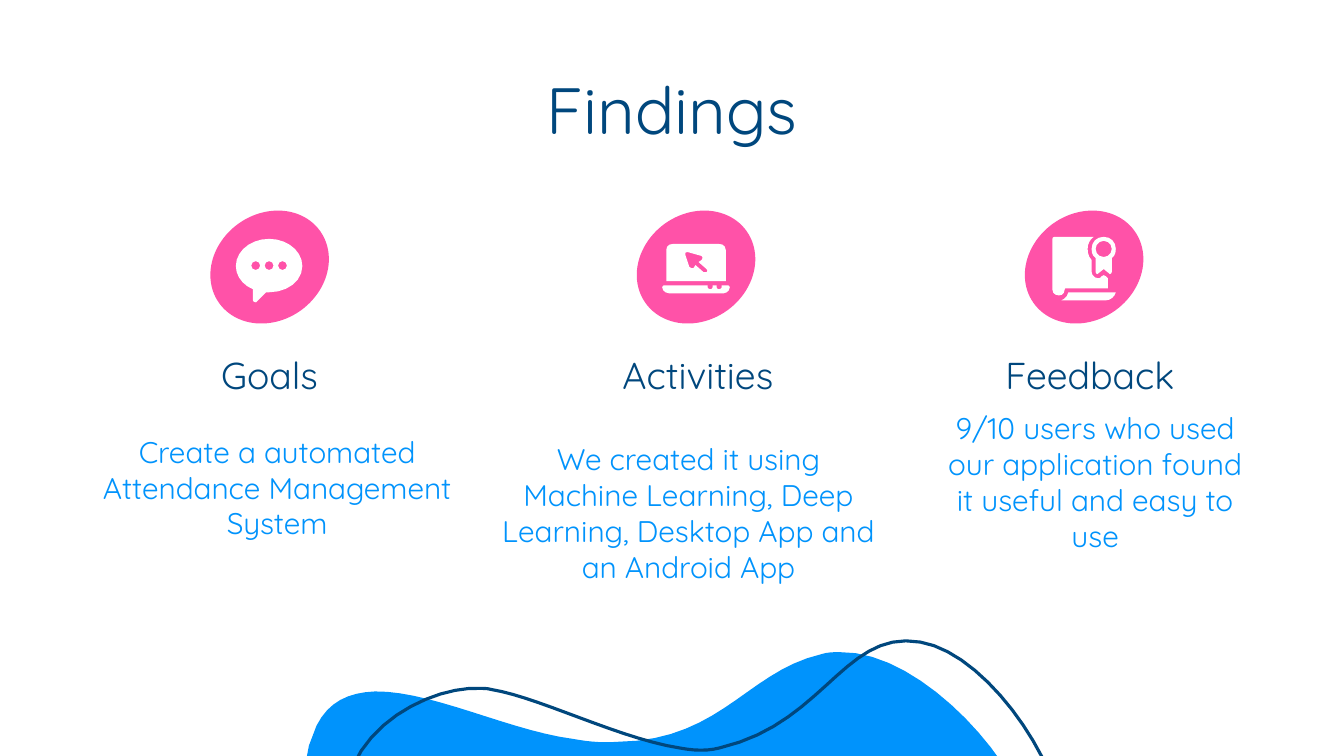
from dataclasses import dataclass
from math import dist, sqrt
from typing import NamedTuple

from pptx import Presentation
from pptx.dml.color import RGBColor
from pptx.enum.shapes import MSO_SHAPE
from pptx.enum.text import MSO_ANCHOR, MSO_AUTO_SIZE, PP_ALIGN
from pptx.shapes.autoshape import Shape
from pptx.slide import Slide
from pptx.util import Pt

OVAL = MSO_SHAPE.OVAL
MIDDLE, BOTTOM = MSO_ANCHOR.MIDDLE, MSO_ANCHOR.BOTTOM
CENTER = PP_ALIGN.CENTER
NO_AUTOFIT = MSO_AUTO_SIZE.NONE


@dataclass(frozen=True)
class Theme:
    font: str = "Quicksand"
    white: RGBColor = RGBColor(0xFF, 0xFF, 0xFF)
    navy: RGBColor = RGBColor(0x00, 0x47, 0x7D)
    blue: RGBColor = RGBColor(0x00, 0x93, 0xFC)
    pink: RGBColor = RGBColor(0xFF, 0x52, 0xA8)
    title_size: float = 46.7
    heading_size: float = 26.7
    body_size: float = 21.3
    inset: float = 9.6
    wave_line: float = 2.25


THEME = Theme()


class Box(NamedTuple):
    left: float
    top: float
    width: float
    height: float


class TextStyle(NamedTuple):
    size: float
    color: RGBColor
    anchor: MSO_ANCHOR
    line_spacing: float


TITLE = TextStyle(THEME.title_size, THEME.navy, MIDDLE, 0.9)
HEADING = TextStyle(THEME.heading_size, THEME.navy, BOTTOM, 0.9)
BODY = TextStyle(THEME.body_size, THEME.blue, BOTTOM, 1.0)


@dataclass(frozen=True)
class Finding:
    heading: str
    heading_left: float
    badge_left: float
    body: str
    body_box: Box
    icon: tuple[str, ...]


def circle(x: float, y: float, radius: float) -> str:
    """Outline of a circle as four curves."""
    k = 0.55 * radius
    r = radius
    return (f"M {x} {y - r} C {x + k} {y - r} {x + r} {y - k} {x + r} {y} "
            f"C {x + r} {y + k} {x + k} {y + r} {x} {y + r} "
            f"C {x - k} {y + r} {x - r} {y + k} {x - r} {y} "
            f"C {x - r} {y - k} {x - k} {y - r} {x} {y - r} Z ")


# Outlines: M moves, L draws a line, C a cubic curve, Z closes
OUTLINE_UNIT = Pt(0.72)

BLUE_WAVE = (
    "M 833 647 C 827 647 821 647 815 649 C 741 666 715 735 612 736 "
    "C 598 737 584 736 568 733 C 506 725 427 685 372 686 C 346 687 326 696 314 720 "
    "C 269 814 366 884 422 889 C 425 889 428 889 431 889 C 479 889 566 859 627 859 "
    "C 643 858 656 860 667 864 C 767 904 773 1001 851 1000 "
    "C 925 998 1024 881 1021 821 C 1019 766 917 645 833 647 Z")
NAVY_WAVE = (
    "M 845 980 C 839 979 833 977 828 975 C 758 947 742 876 641 860 "
    "C 628 858 614 856 598 856 C 536 856 453 883 399 874 C 374 870 356 858 348 833 "
    "C 317 735 422 679 478 683 C 481 683 484 683 487 684 C 533 691 615 733 674 742 "
    "C 689 745 703 745 714 742 C 818 718 838 624 913 637 "
    "C 985 649 1066 778 1054 836 C 1043 890 926 993 845 980 Z")

SPEECH_BUBBLE = (
    "M 267 237 C 249 237 234 249 234 264 C 234 274 241 283 251 287 L 251 298 "
    "C 251 299 252 300 254 300 L 255 299 L 264 290 "
    "C 265 290 266 290 267 290 C 285 290 300 279 300 264 C 300 249 285 237 267 237 Z "
    + "".join(circle(267 + offset, 263.5, 4.4) for offset in (-13.3, 0, 13.3)))
LAPTOP_BASE = (
    "M 659 283 C 658 283 657 284 657 285 C 657 288 660 291 664 291 L 718 291 "
    "C 721 291 724 288 724 285 C 724 284 723 283 722 283 L 716 283 L 716 285 "
    "C 716 286 715 287 713 287 C 712 287 711 286 711 285 L 711 283 L 707 283 L 707 285 "
    "C 707 286 706 287 705 287 C 703 287 702 286 702 285 L 702 283 Z")
LAPTOP_SCREEN = (
    "M 682 250 L 696 254 C 697 255 698 256 696 258 L 693 260 L 701 267 "
    "C 702 268 702 269 701 270 L 698 270 L 690 263 L 688 266 L 686 266 L 684 265 "
    "L 680 253 C 679 251 680 250 682 250 Z "
    "M 668 242 C 664 242 661 244 661 248 L 661 279 L 720 279 L 720 248 "
    "C 720 244 717 242 713 242 Z")
MEDAL = circle(1095, 247, 8) + (
    "M 1095 235 C 1088 235 1083 240 1083 247 C 1083 251 1084 254 1087 256 L 1087 270 "
    "C 1087 271 1088 272 1089 272 L 1090 271 L 1095 267 L 1100 271 "
    "L 1101 272 C 1102 272 1103 271 1103 270 L 1103 256 "
    "C 1106 254 1107 251 1107 247 C 1107 240 1102 235 1095 235 Z")
SCROLL_FOOT = "M 1060 290 C 1059 294 1056 297 1053 298 L 1097 298 C 1102 298 1106 294 1107 290 Z"
SCROLL_SHEET = (
    "M 1046 235 C 1045 235 1044 236 1044 237 L 1044 287 C 1044 291 1047 293 1050 293 "
    "L 1051 293 C 1054 293 1056 291 1056 288 C 1056 286 1057 286 1058 286 "
    "L 1099 286 L 1099 276 L 1097 274 L 1095 273 L 1093 274 "
    "C 1092 276 1091 276 1089 276 C 1086 276 1083 273 1083 270 L 1083 258 "
    "C 1080 255 1079 251 1079 247 C 1079 242 1081 238 1085 235 Z")

FINDINGS = (
    Finding("Goals", 103.7, 148.3, "Create a automated Attendance Management System",
            Box(61.9, 298.8, 272.2, 97.2), (SPEECH_BUBBLE,)),
    Finding("Activities", 409.7, 452.9,
            "We created it using Machine Learning, Deep Learning, Desktop App and an Android App",
            Box(344.9, 307.4, 293.8, 119.5), (LAPTOP_BASE, LAPTOP_SCREEN)),
    Finding("Feedback ", 693.4, 730.1,
            "9/10 users who used our application found it useful and easy to use",
            Box(660.2, 315.4, 244.1, 89.3), (MEDAL, SCROLL_FOOT, SCROLL_SHEET)),
)


def curve_points(*p: tuple[float, float]) -> list[tuple[float, float]]:
    """Points along a cubic curve, without its start; longer curves get more."""
    steps = max(1, round(sqrt(dist(p[0], p[-1]) / OUTLINE_UNIT)))
    points = []
    for step in range(1, steps + 1):
        t = step / steps
        weights = ((1 - t) ** 3, 3 * t * (1 - t) ** 2, 3 * t * t * (1 - t), t ** 3)
        points.append(tuple(sum(w * q[axis] for w, q in zip(weights, p)) for axis in (0, 1)))
    return points


def add_outline(slide: Slide, outline: str) -> Shape:
    builder = None
    for contour in outline.split("Z"):
        tokens = iter(contour.split())
        points = []
        for command in tokens:
            count = 3 if command == "C" else 1
            ends = [tuple(float(next(tokens)) * OUTLINE_UNIT for _ in "xy") for _ in range(count)]
            points += curve_points(points[-1], *ends) if command == "C" else ends
        if not points:
            continue
        if builder is None:
            builder = slide.shapes.build_freeform(*points[0], scale=1.0)
        else:
            builder.move_to(*points[0])
        builder.add_line_segments(points[1:], close=True)
    shape = builder.convert_to_shape()
    shape.shadow.inherit = False
    return shape


def fill_shape(shape: Shape, color: RGBColor) -> None:
    shape.shadow.inherit = False
    shape.fill.solid()
    shape.fill.fore_color.rgb = color
    shape.line.fill.background()


def add_text(slide: Slide, box: Box, text: str, style: TextStyle) -> None:
    text_frame = slide.shapes.add_textbox(*map(Pt, box)).text_frame
    text_frame.word_wrap = True
    text_frame.auto_size = NO_AUTOFIT
    text_frame.vertical_anchor = style.anchor
    text_frame.margin_left = text_frame.margin_right = Pt(THEME.inset)
    text_frame.margin_top = text_frame.margin_bottom = Pt(THEME.inset)
    text_frame.text = text
    paragraph = text_frame.paragraphs[0]
    paragraph.alignment = CENTER
    paragraph.line_spacing = style.line_spacing
    font = paragraph.runs[0].font
    font.name, font.size = THEME.font, Pt(style.size)
    font.color.rgb = style.color


def add_finding(slide: Slide, finding: Finding) -> None:
    badge = slide.shapes.add_shape(OVAL, *map(Pt, (finding.badge_left, 152.6, 88.6, 76.3)))
    badge.rotation = 324.5
    fill_shape(badge, THEME.pink)
    for outline in finding.icon:
        fill_shape(add_outline(slide, outline), THEME.white)
    add_text(slide, Box(finding.heading_left, 236.9, 177.8, 56.9), finding.heading, HEADING)
    add_text(slide, finding.body_box, finding.body, BODY)


def main() -> None:
    presentation = Presentation()
    presentation.slide_width, presentation.slide_height = Pt(960), Pt(540)
    slide = presentation.slides.add_slide(presentation.slide_layouts[6])

    # Waves along the bottom edge
    fill_shape(add_outline(slide, BLUE_WAVE), THEME.blue)
    navy_wave = add_outline(slide, NAVY_WAVE)
    navy_wave.fill.background()
    navy_wave.line.color.rgb = THEME.navy
    navy_wave.line.width = Pt(THEME.wave_line)

    # Title and the three findings
    add_text(slide, Box(121, 52.6, 717.8, 56.9), "Findings", TITLE)
    for finding in FINDINGS:
        add_finding(slide, finding)

    presentation.save("out.pptx")


if __name__ == "__main__":
    main()
